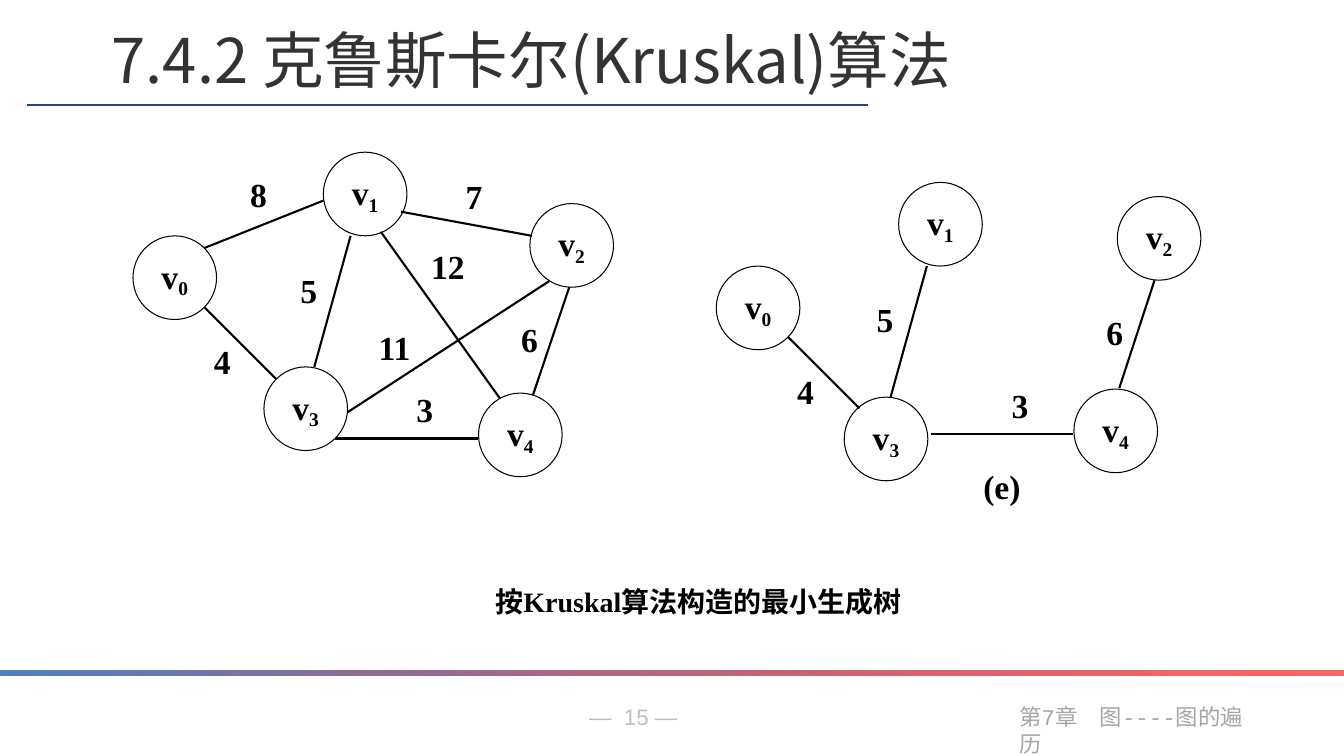
from dataclasses import dataclass

from lxml.etree import SubElement
from pptx import Presentation
from pptx.dml.color import RGBColor
from pptx.enum.shapes import MSO_CONNECTOR as Connector, MSO_SHAPE as Shape
from pptx.enum.text import MSO_ANCHOR as Anchor, PP_ALIGN as Align
from pptx.oxml.ns import qn
from pptx.util import Emu, Pt

PX = 9144  # 100 px to the inch
NODE_SIZE = 83
LABEL_SIZE = 59
BLACK = "000000"
SERIF = "Times New Roman"
CJK = "Noto Sans CJK SC"


@dataclass(frozen=True)
class Node:
    index: int
    left: int
    top: int


@dataclass(frozen=True)
class Edge:
    weight: int
    start: tuple[int, int]
    end: tuple[int, int]
    label: tuple[int, int]


@dataclass(frozen=True)
class Graph:
    nodes: list[Node]
    edges: list[Edge]


@dataclass(frozen=True)
class Style:
    size: int
    font: str
    color: str
    bold: bool = False


GRAPH_STYLE = Style(24, SERIF, BLACK, bold=True)

FULL_GRAPH = Graph(
    [Node(0, 132, 234), Node(1, 321, 151), Node(2, 526, 202), Node(3, 262, 364), Node(4, 475, 390)],
    [
        Edge(4, (203, 305), (274, 376), (191, 329)),
        Edge(8, (203, 246), (321, 199), (227, 163)),
        Edge(5, (348, 234), (312, 364), (277, 258)),
        Edge(7, (398, 210), (528, 234), (441, 165)),
        Edge(12, (378, 230), (496, 395), (415, 234)),
        Edge(11, (345, 409), (545, 279), (362, 315)),
        Edge(3, (333, 435), (474, 435), (392, 376)),
        Edge(6, (565, 285), (529, 392), (496, 307)),
    ],
)
SPANNING_TREE = Graph(
    [Node(0, 711, 264), Node(1, 892, 181), Node(2, 1109, 195), Node(3, 838, 394), Node(4, 1066, 386)],
    [
        Edge(6, (1146, 278), (1111, 385), (1077, 300)),
        Edge(4, (782, 334), (853, 405), (770, 358)),
        Edge(3, (924, 431), (1065, 431), (983, 372)),
        Edge(5, (920, 264), (884, 394), (849, 287)),
    ],
)


def px(length: int) -> Emu:
    return Emu(length * PX)


def rgb(color: str) -> RGBColor:
    return RGBColor.from_string(color)


def add_run(paragraph, text: str, style: Style, subscript: bool = False) -> None:
    run = paragraph.add_run()
    run.text = text
    font = run.font
    font.size, font.name, font.bold = Pt(style.size), style.font, style.bold
    font.color.rgb = rgb(style.color)
    properties = run._r.get_or_add_rPr()
    SubElement(properties, qn("a:ea"), typeface=CJK)
    if subscript:
        properties.set("baseline", "-20000")


def add_text(slide, text: str, left: int, top: int, width: int, height: int,
             style: Style, wrap: bool = False, centred: bool = False) -> None:
    frame = slide.shapes.add_textbox(px(left), px(top), px(width), px(height)).text_frame
    frame.word_wrap = wrap
    frame.vertical_anchor = Anchor.MIDDLE if centred else Anchor.TOP
    paragraph = frame.paragraphs[0]
    paragraph.alignment = Align.CENTER if centred else Align.LEFT
    add_run(paragraph, text, style)


def add_line(slide, start: tuple[int, int], end: tuple[int, int],
             color: str = BLACK, width: float = 1.5) -> None:
    line = slide.shapes.add_connector(Connector.STRAIGHT, *map(px, start + end))
    line.line.color.rgb = rgb(color)
    line.line.width = Pt(width)
    SubElement(line._element.spPr, qn("a:effectLst"))


def add_node(slide, node: Node) -> None:
    circle = slide.shapes.add_shape(
        Shape.OVAL, px(node.left), px(node.top), px(NODE_SIZE), px(NODE_SIZE))
    circle.shadow.inherit = False
    circle.fill.background()
    circle.line.color.rgb = rgb(BLACK)
    circle.line.width = Pt(0.75)
    frame = circle.text_frame
    frame.word_wrap = False
    frame.vertical_anchor = Anchor.MIDDLE
    paragraph = frame.paragraphs[0]
    paragraph.alignment = Align.CENTER
    add_run(paragraph, "v", GRAPH_STYLE)
    add_run(paragraph, str(node.index), GRAPH_STYLE, subscript=True)


def add_graph(slide, graph: Graph) -> None:
    for node in graph.nodes:
        add_node(slide, node)
    for edge in graph.edges:
        add_line(slide, edge.start, edge.end)
        add_text(slide, str(edge.weight), *edge.label, LABEL_SIZE, LABEL_SIZE,
                 GRAPH_STYLE, centred=True)


def add_footer_bar(slide) -> None:
    """Draw the band that fades from blue to half-transparent red."""
    bar = slide.shapes.add_shape(Shape.RECTANGLE, px(0), px(665), px(1334), px(5))
    bar.shadow.inherit = False
    bar.line.fill.background()
    bar.fill.gradient()
    bar.fill.gradient_angle = 0
    for stop, color, position in zip(bar.fill.gradient_stops, ("4F81BD", "FF0000"), (0, 1)):
        stop.color.rgb = rgb(color)
        stop.position = position
    red = bar._element.spPr.findall(".//" + qn("a:srgbClr"))[-1]
    SubElement(red, qn("a:alpha"), val="60000")


def main() -> None:
    deck = Presentation()
    deck.slide_width, deck.slide_height = px(1334), px(750)
    slide = deck.slides.add_slide(deck.slide_layouts[6])

    add_text(slide, "7.4.2 克鲁斯卡尔(Kruskal)算法", 101, 17, 980, 84,
             Style(44, CJK, "333333"), wrap=True)
    add_line(slide, (27, 104), (862, 104), "1F497D", 1)

    add_graph(slide, FULL_GRAPH)
    add_graph(slide, SPANNING_TREE)
    add_text(slide, "(e)", 959, 453, 71, LABEL_SIZE, GRAPH_STYLE, centred=True)
    add_text(slide, "按Kruskal算法构造的最小生成树", 367, 577, 653, 39,
             Style(20, SERIF, BLACK, bold=True), centred=True)

    add_footer_bar(slide)
    add_text(slide, "—  15 —", 575, 693, 190, 37, Style(16, "Arial", "BFBFBF"), wrap=True)
    add_text(slide, "第7章　图----图的遍历", 1002, 693, 260, 37,
             Style(16, "Courier New", "A6A6A6"), wrap=True)

    deck.save("out.pptx")


if __name__ == "__main__":
    main()
